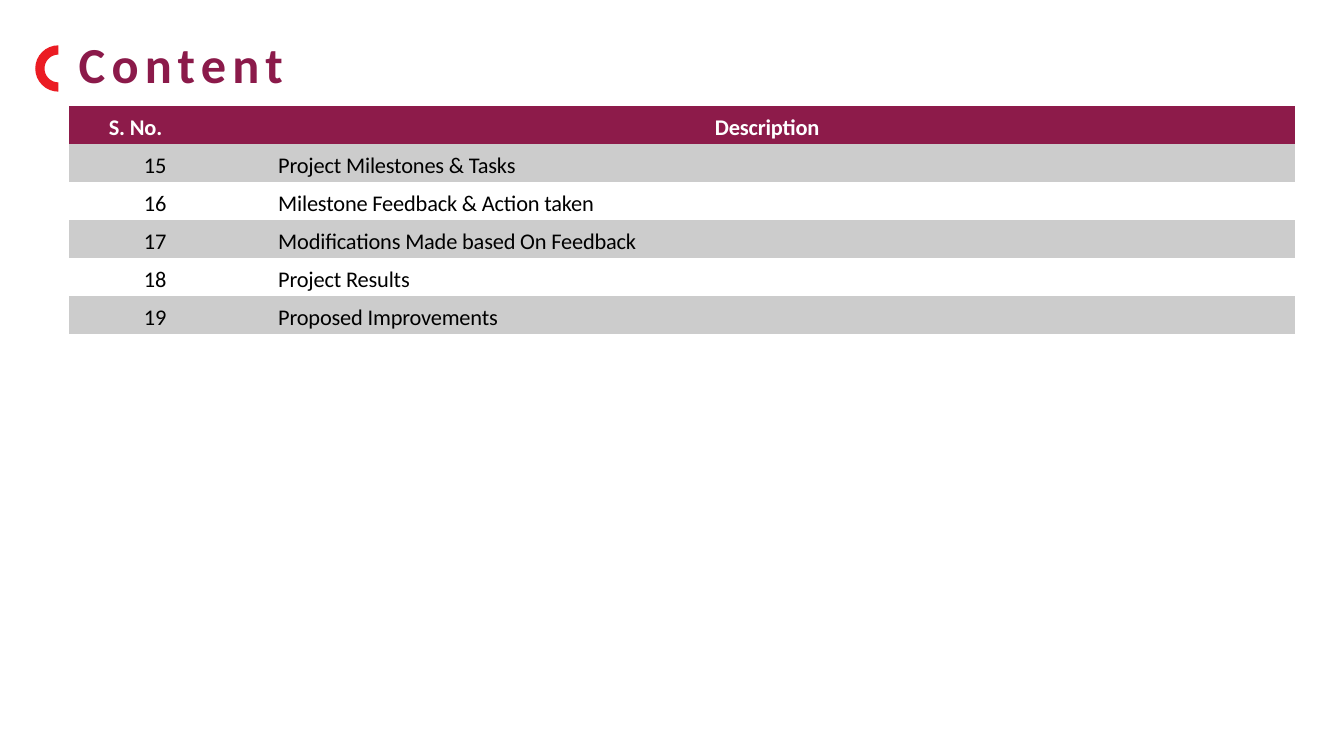
import math

import pptx
import pptx.dml.color
import pptx.enum.text
import pptx.util

WIDTH, HEIGHT = 13.33, 7.5
PLUM, RED, GREY = "8D1B4A", "EB1C23", "CCCCCC"
PLAIN_STYLE = "{2D5ABB26-0587-4C30-8999-92F81FD0307C}"
ALIGN = pptx.enum.text.PP_ALIGN
HEADER = ("S. No.", "Description")
TOPICS = (
    "Project Milestones & Tasks",
    "Milestone Feedback & Action taken",
    "Modifications Made based On Feedback",
    "Project Results",
    "Proposed Improvements",
)
FIRST_NUMBER = 15


def inches(value):
    """Convert inches to a length."""
    return pptx.util.Inches(value)


def color(value):
    """Turn a hex string into a colour."""
    return pptx.dml.color.RGBColor.from_string(value)


def write(tf, text, size=16, fill="000000", bold=False, align=ALIGN.LEFT, spacing=-0.1):
    """Put one formatted run into a text frame."""
    p = tf.paragraphs[0]
    p.alignment = align
    r = p.add_run()
    r.text = text
    r.font.name = "Calibri"
    r.font.size = pptx.util.Pt(size)
    r.font.bold = bold
    r.font.color.rgb = color(fill)
    r.font._element.set("spc", str(round(spacing * 100)))


def add_half_ring(s, left, top, width, height):
    """Draw the left half of a ring inside the box."""
    steps = 16
    angles = [math.pi * (0.5 + i / steps) for i in range(steps + 1)]

    def arc(share, turns):
        return [
            (inches(left + width * (1 + share * math.cos(a))),
             inches(top + height / 2 * (1 - share * math.sin(a))))
            for a in turns
        ]

    points = arc(1, angles) + arc(0.6, reversed(angles))
    builder = s.shapes.build_freeform(*points[0])
    builder.add_line_segments(points[1:], close=True)
    sp = builder.convert_to_shape()
    sp.shadow.inherit = False
    sp.fill.solid()
    sp.fill.fore_color.rgb = color(RED)
    sp.line.fill.background()


def add_title(s, left, top, width, height):
    """Place and format the slide title."""
    sp = s.shapes.title
    sp.left, sp.top, sp.width, sp.height = map(inches, (left, top, width, height))
    tf = sp.text_frame
    tf.margin_left = tf.margin_top = inches(0.01)
    tf.margin_right = tf.margin_bottom = 0
    tf.vertical_anchor = pptx.enum.text.MSO_ANCHOR.TOP
    tf.auto_size = pptx.enum.text.MSO_AUTO_SIZE.SHAPE_TO_FIT_TEXT
    write(tf, "Content", size=36, fill="8B1A4A", bold=True, spacing=4.5)


def add_contents(s, left, top, width, height):
    """Build the numbered contents table in the box."""
    rows = [HEADER] + [(str(n), topic) for n, topic in enumerate(TOPICS, FIRST_NUMBER)]
    frame = s.shapes.add_table(len(rows), 2, *map(inches, (left, top, width, height)))
    table = frame.table
    table.horz_banding = False
    for style in frame.element.iter("{*}tableStyleId"):
        style.text = PLAIN_STYLE
    for column, share in zip(table.columns, (0.125, 0.875)):
        column.width = inches(width * share)
    for i, row in enumerate(rows):
        heading = i == 0
        for j, text in enumerate(row):
            cell = table.cell(i, j)
            cell.margin_top = inches(0.08)
            cell.margin_left = cell.margin_right = cell.margin_bottom = 0
            if j == 0:
                cell.margin_right = inches(0.59 if heading else 0.55)
                align = ALIGN.RIGHT
            else:
                cell.margin_left = inches(0.18 if heading else 0.56)
                align = ALIGN.CENTER if heading else ALIGN.LEFT
            if heading or i % 2:
                cell.fill.solid()
                cell.fill.fore_color.rgb = color(PLUM if heading else GREY)
            else:
                cell.fill.background()
            write(cell.text_frame, text, fill="FFFFFF" if heading else "000000",
                  bold=heading, align=align)


def main():
    """Create the presentation."""
    prs = pptx.Presentation()
    prs.slide_width, prs.slide_height = inches(WIDTH), inches(HEIGHT)
    s = prs.slides.add_slide(prs.slide_layouts[5])
    add_half_ring(s, 0.35, 0.45, 0.23, 0.46)
    add_title(s, 0.77, 0.32, 2.16, 0.63)
    add_contents(s, 0.68, 1.05, 12.16, 2.27)
    prs.save("out.pptx")


if __name__ == "__main__":
    main()
